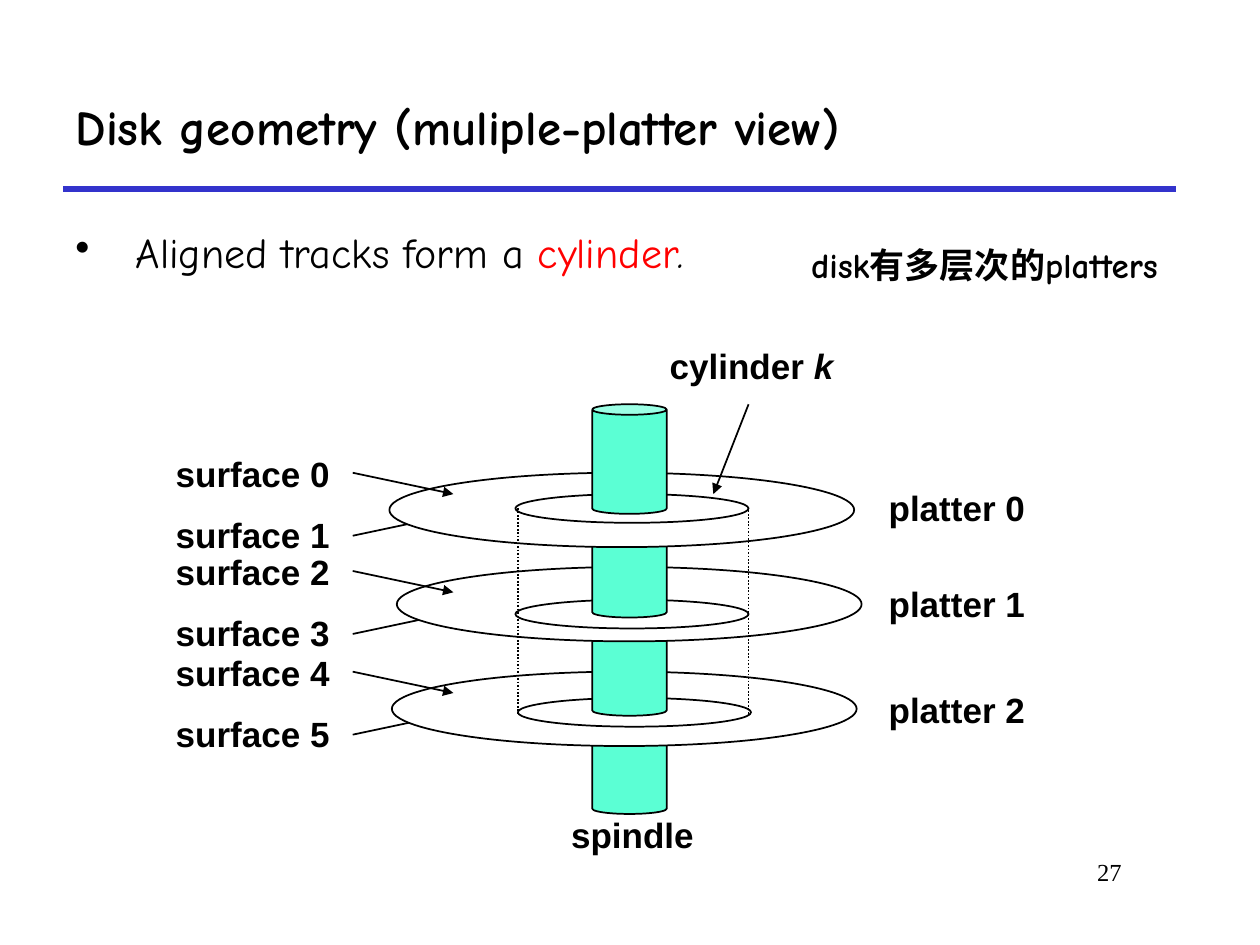
from dataclasses import dataclass

from lxml.etree import SubElement
from pptx import Presentation
from pptx.dml.color import RGBColor
from pptx.enum.dml import MSO_LINE_DASH_STYLE as Dash
from pptx.enum.shapes import MSO_CONNECTOR, MSO_SHAPE as Shape
from pptx.enum.text import MSO_ANCHOR as Anchor, PP_ALIGN as Align
from pptx.oxml.ns import qn
from pptx.util import Cm, Pt

COLORS = {"ink": "000000", "rule": "3333CC", "accent": "FF0000",
          "spindle": "5BFFD4", "disk": "FFFFFF"}
LABEL_HEIGHT = 1.12


@dataclass
class Platter:
    """One disk; lengths in cm."""
    number: int
    disk: tuple[float, float]
    ring: tuple[float, float]
    spindle_top: float  # spindle section under this disk
    surface_top: float  # label of the upper surface
    label_top: float

    @property
    def lower_surface_top(self) -> float:
        return self.surface_top + 1.22


PLATTERS = [
    Platter(0, (7.85, 9.53), (10.39, 9.96), 10.24, 8.99, 9.68),
    Platter(1, (8.0, 11.43), (10.39, 12.09), 12.22, 10.97, 11.61),
    Platter(2, (7.9, 13.54), (10.44, 14.07), 14.2, 13.0, 13.74),
]


def rgb(name: str) -> RGBColor:
    return RGBColor.from_string(COLORS[name])


def write(frame, *runs, font="Arial", size=20, bold=True, align=Align.LEFT,
          anchor=Anchor.MIDDLE, wrap=False, bullet_indent=None) -> None:
    """Write runs given as (text, {color, italic}) pairs into a text frame."""
    frame.word_wrap = wrap
    frame.vertical_anchor = anchor
    paragraph = frame.paragraphs[0]
    paragraph.alignment = align
    if bullet_indent:
        props = paragraph._p.get_or_add_pPr()
        props.set("marL", str(Cm(bullet_indent)))
        props.set("indent", str(-Cm(bullet_indent)))
        SubElement(props, qn("a:buChar"), char="•")
    for text, style in runs:
        run = paragraph.add_run()
        run.text = text
        run.font.name, run.font.size, run.font.bold = font, Pt(size), bold
        run.font.italic = style.get("italic", False)
        run.font.color.rgb = rgb(style.get("color", "ink"))


def add_text(slide, left: float, top: float, width: float, height: float,
             *runs, **text_format) -> None:
    box = slide.shapes.add_textbox(Cm(left), Cm(top), Cm(width), Cm(height))
    write(box.text_frame, *runs, **text_format)


def add_label(slide, left: float, top: float, width: float, *runs) -> None:
    add_text(slide, left, top, width, LABEL_HEIGHT, *runs, align=Align.CENTER)


def add_line(slide, start: tuple, end: tuple, color="ink", width=1.0,
             arrow=False, dash=None) -> None:
    line = slide.shapes.add_connector(
        MSO_CONNECTOR.STRAIGHT, *(Cm(value) for value in start + end))
    line.line.color.rgb = rgb(color)
    line.line.width = Pt(width)
    if dash:
        line.line.dash_style = dash
    if arrow:
        SubElement(line.line._get_or_add_ln(), qn("a:tailEnd"), type="triangle")
    SubElement(line._element.spPr, qn("a:effectLst"))


def add_solid(slide, kind, left: float, top: float, width: float,
              height: float, fill=None):
    solid = slide.shapes.add_shape(kind, Cm(left), Cm(top), Cm(width), Cm(height))
    solid.shadow.inherit = False
    if fill:
        solid.fill.solid()
        solid.fill.fore_color.rgb = rgb(fill)
    else:
        solid.fill.background()
    solid.line.color.rgb = rgb("ink")
    solid.line.width = Pt(1)
    return solid


def add_spindle_section(slide, top: float) -> None:
    section = add_solid(slide, Shape.CAN, 11.94, top, 1.5, 2.21, "spindle")
    section.adjustments[0] = 0.142


def add_surface_pointer(slide, start_y: float, rise: float) -> None:
    add_line(slide, (7.11, start_y), (9.14, start_y - rise), arrow=True)


def add_platter_stack(slide) -> None:
    # Pointers to the undersides are partly hidden by the disks
    for platter in PLATTERS:
        add_surface_pointer(slide, platter.lower_surface_top + 0.59, 0.43)

    # Stack from the bottom up
    for platter in reversed(PLATTERS):
        add_spindle_section(slide, platter.spindle_top)
        add_solid(slide, Shape.OVAL, *platter.disk, 9.37, 1.5, "disk")
        add_solid(slide, Shape.OVAL, *platter.ring, 4.7, 0.58)
    add_spindle_section(slide, 8.15)

    # Labels and pointers to the upper sides
    for platter in PLATTERS:
        add_surface_pointer(slide, platter.surface_top + 0.54, -0.43)
        surface_tops = (platter.surface_top, platter.lower_surface_top)
        for side, top in enumerate(surface_tops):
            add_label(slide, 3.28, top, 3.63,
                      (f"surface {2 * platter.number + side}", {}))
        add_label(slide, 17.65, platter.label_top, 3.28,
                  (f"platter {platter.number}", {}))


def main() -> None:
    deck = Presentation()
    deck.slide_width, deck.slide_height = Cm(25.4), Cm(19.05)
    slide = deck.slides.add_slide(deck.slide_layouts[5])

    # Heading
    title = slide.shapes.title
    title.left, title.top, title.width, title.height = (
        Cm(1.27), Cm(1.27), Cm(22.43), Cm(2.54))
    write(title.text_frame, ("Disk geometry (muliple-platter view)", {}),
          font="Comic Neue", size=28, wrap=True)
    add_line(slide, (1.27, 3.81), (23.7, 3.81), "rule", 3)

    # Statement and note
    add_text(slide, 1.27, 4.45, 23.06, 1.7,
             ("Aligned tracks form a ", {}), ("cylinder", {"color": "accent"}),
             (".", {"italic": True}), font="Comic Neue", size=24, bold=False,
             anchor=Anchor.TOP, wrap=True, bullet_indent=1.22)
    add_text(slide, 16.1, 4.78, 8.1, LABEL_HEIGHT,
             ("disk有多层次的platters", {}), font="Comic Neue", anchor=Anchor.TOP)

    # Disk drive
    add_platter_stack(slide)
    add_label(slide, 11.25, 16.26, 3.0, ("spindle", {}))

    # Cylinder through all platters
    for x, top in ((10.44, 10.24), (15.09, 10.29)):
        add_line(slide, (x, top), (x, top + 4.14), dash=Dash.ROUND_DOT)
    add_label(slide, 13.23, 6.81, 3.84, ("cylinder ", {}), ("k", {"italic": True}))
    add_line(slide, (15.09, 8.15), (14.38, 9.96), arrow=True)

    # Page number
    add_text(slide, 19.25, 17.15, 3.61, 1.27, ("27", {}),
             font="Times New Roman", size=14, bold=False, align=Align.RIGHT,
             anchor=Anchor.TOP, wrap=True)

    deck.save("out.pptx")


if __name__ == "__main__":
    main()
